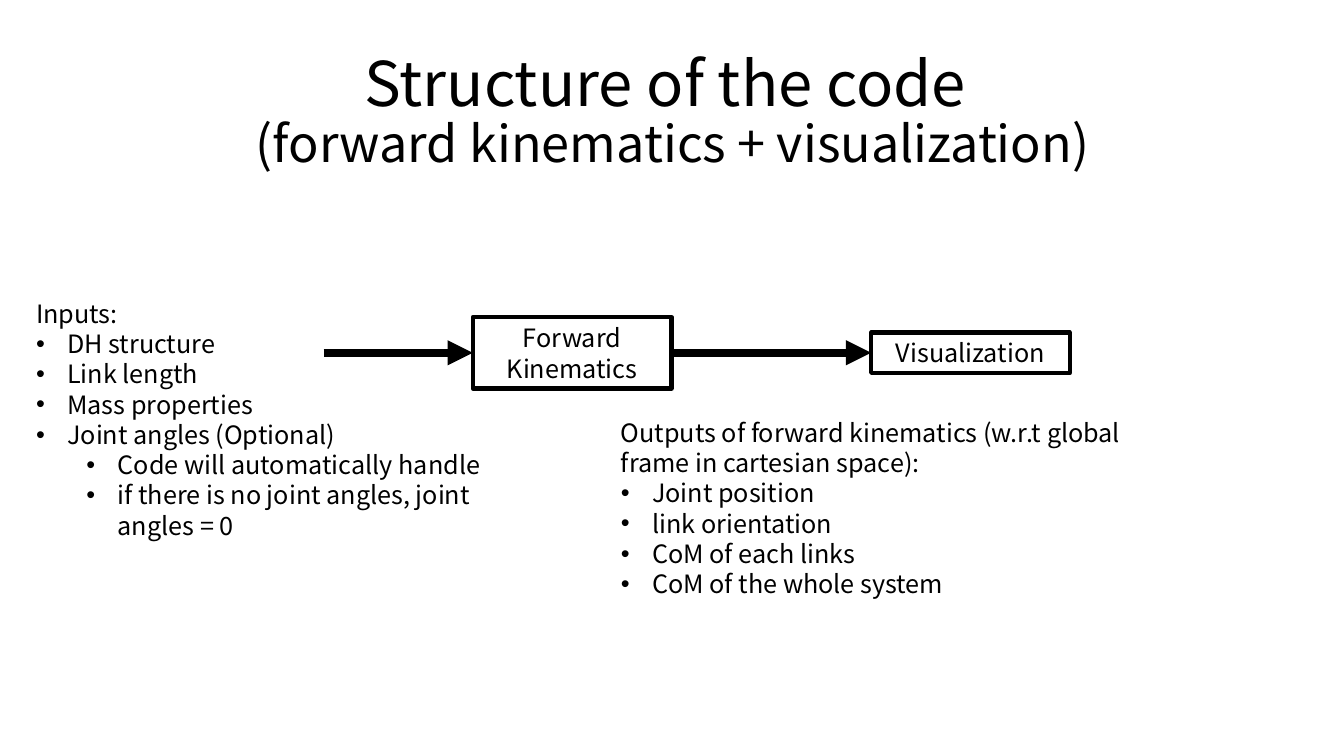
from lxml import etree
from pptx import Presentation
from pptx.dml.color import RGBColor
from pptx.enum.shapes import MSO_CONNECTOR, MSO_SHAPE
from pptx.enum.text import MSO_ANCHOR, PP_ALIGN
from pptx.oxml.ns import qn
from pptx.util import Inches, Pt

BLACK = RGBColor(0x00, 0x00, 0x00)
FONT = "Noto Sans CJK KR"
STRAIGHT = MSO_CONNECTOR.STRAIGHT
RECTANGLE = MSO_SHAPE.RECTANGLE
MIDDLE = MSO_ANCHOR.MIDDLE
CENTER = PP_ALIGN.CENTER
LEFT_SIDE, RIGHT_SIDE = 1, 3
BULLET_HANG = 0.31
LEVEL_STEP = 0.5
FLOW_Y = 3.5
STAGE_WIDTH = 1.97

INPUTS = [
    ("DH structure", 0),
    ("Link length", 0),
    ("Mass properties", 0),
    ("Joint angles (Optional)", 0),
    ("Code will automatically handle", 1),
    ("if there is no joint angles, joint angles = 0", 1),
]
OUTPUTS = [
    ("Joint position", 0),
    ("link orientation", 0),
    ("CoM of each links", 0),
    ("CoM of the whole system", 0),
]


def format_runs(paragraph, *sizes):
    """Give each run of the paragraph its size, in order."""
    for run, size in zip(paragraph.runs, sizes):
        run.font.name = FONT
        run.font.size = Pt(size)
        run.font.color.rgb = BLACK


def add_text_frame(slide, left, top, width, height):
    box = slide.shapes.add_textbox(
        Inches(left), Inches(top), Inches(width), Inches(height))
    box.text_frame.word_wrap = True
    return box.text_frame


def add_title(slide, heading, subheading):
    frame = add_text_frame(slide, 0.92, 0.4, 11.5, 1.45)
    frame.vertical_anchor = MIDDLE
    title = frame.paragraphs[0]
    title.text = f"{heading}\v{subheading}"
    title.alignment = CENTER
    title.line_spacing = 0.9
    format_runs(title, 44, 36)


def add_bullet(paragraph, level):
    paragraph.level = level
    properties = paragraph._p.get_or_add_pPr()
    properties.set("marL", str(Inches(BULLET_HANG + level * LEVEL_STEP)))
    properties.set("indent", str(-Inches(BULLET_HANG)))
    etree.SubElement(properties, qn("a:buFont"), typeface="Arial")
    etree.SubElement(properties, qn("a:buChar"), char="•")


def add_list(slide, left, top, width, height, heading, items):
    frame = add_text_frame(slide, left, top, width, height)
    frame.text = heading
    format_runs(frame.paragraphs[0], 18)
    for text, level in items:
        item = frame.add_paragraph()
        item.text = text
        add_bullet(item, level)
        format_runs(item, 18)


def add_stage(slide, left, height, label):
    """Add an outlined box centred on the flow line."""
    stage = slide.shapes.add_shape(
        RECTANGLE, Inches(left), Inches(FLOW_Y - height / 2),
        Inches(STAGE_WIDTH), Inches(height))
    stage.shadow.inherit = False
    stage.fill.background()
    stage.line.color.rgb = BLACK
    stage.line.width = Pt(3)
    frame = stage.text_frame
    frame.word_wrap = True
    frame.vertical_anchor = MIDDLE
    frame.text = label
    frame.paragraphs[0].alignment = CENTER
    format_runs(frame.paragraphs[0], 18)
    return stage


def add_flow_arrow(slide, start, target, source=None):
    """Add an arrow into the target stage, from a source stage if there is one."""
    arrow = slide.shapes.add_connector(
        STRAIGHT, Inches(start), Inches(FLOW_Y), target.left, Inches(FLOW_Y))
    if source is not None:
        arrow.begin_connect(source, RIGHT_SIDE)
    arrow.end_connect(target, LEFT_SIDE)
    arrow.line.color.rgb = BLACK
    arrow.line.width = Pt(6)
    etree.SubElement(arrow.line._get_or_add_ln(), qn("a:tailEnd"), type="triangle")
    etree.SubElement(arrow._element.spPr, qn("a:effectLst"))


def main():
    prs = Presentation()
    prs.slide_width = Inches(13.33)
    prs.slide_height = Inches(7.5)
    slide = prs.slides.add_slide(prs.slide_layouts[6])

    add_title(slide, "Structure of the code ", "(forward kinematics + visualization)")
    kinematics = add_stage(slide, 4.69, 0.71, "Forward Kinematics")
    visualization = add_stage(slide, 8.64, 0.4, "Visualization")
    add_list(slide, 6.06, 4.09, 5.59, 1.92,
             "Outputs of forward kinematics (w.r.t global frame in cartesian space):",
             OUTPUTS)
    add_flow_arrow(slide, 3.21, kinematics)
    add_flow_arrow(slide, 4.69 + STAGE_WIDTH, visualization, kinematics)
    add_list(slide, 0.26, 2.91, 4.77, 2.52, "Inputs:", INPUTS)

    prs.save("out.pptx")


if __name__ == "__main__":
    main()
